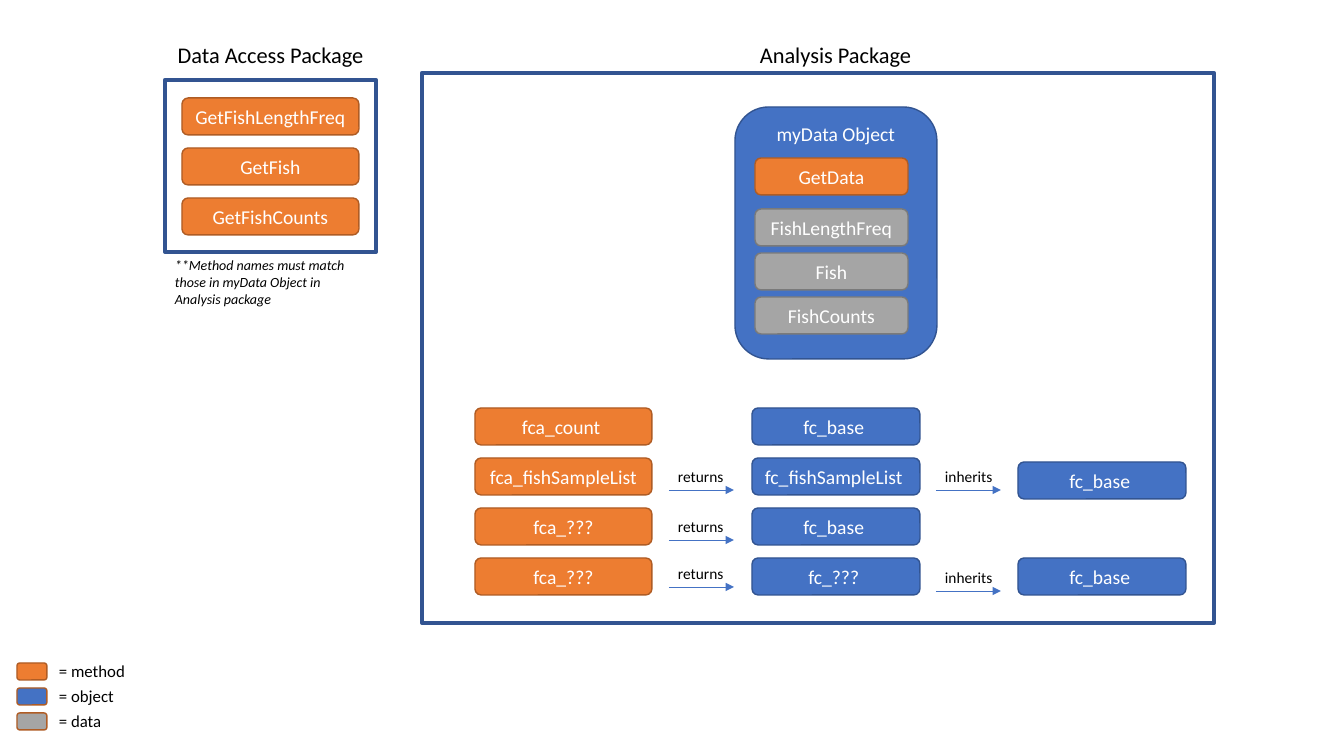
from pptx import Presentation
from pptx.dml.color import RGBColor
from pptx.enum.shapes import MSO_CONNECTOR, MSO_SHAPE
from pptx.enum.text import MSO_ANCHOR, MSO_AUTO_SIZE, PP_ALIGN
from pptx.oxml.ns import qn
from pptx.util import Pt
from lxml import etree

PX = 914400 / 100.8
COLORS = {
    "method": "ED7D31", "method_line": "AF5C24",
    "object": "4472C4", "object_line": "325491",
    "data": "A5A5A5", "data_line": "7A7A7A",
    "white": "FFFFFF", "black": "000000",
}
RGB = {name: RGBColor.from_string(value) for name, value in COLORS.items()}

prs = Presentation()
prs.slide_width, prs.slide_height = round(1344 * PX), round(756 * PX)
s = prs.slides.add_slide(prs.slide_layouts[6])


def add_box(text, x, y, w, h, kind, line=None, preset=MSO_SHAPE.ROUNDED_RECTANGLE):
    sp = s.shapes.add_shape(preset, *[round(v * PX) for v in (x, y, w, h)])
    sp.shadow.inherit = False
    if kind:
        sp.fill.solid()
        sp.fill.fore_color.rgb = RGB[kind]
    else:
        sp.fill.background()
    sp.line.color.rgb = RGB[line or kind + "_line"]
    sp.line.width = Pt(1 if kind else 3)
    if text:
        tf = sp.text_frame
        tf.text = text
        tf.vertical_anchor = MSO_ANCHOR.MIDDLE
        p = tf.paragraphs[0]
        p.alignment = PP_ALIGN.CENTER
        font = p.runs[0].font
        font.name, font.size, font.color.rgb = "Calibri", Pt(14), RGB["white"]
    return sp


def add_label(text, x, y, w, h, size, align=PP_ALIGN.LEFT, wrap=True, italic=False):
    tb = s.shapes.add_textbox(*[round(v * PX) for v in (x, y, w, h)])
    tf = tb.text_frame
    tf.text = text
    tf.word_wrap = wrap
    tf.auto_size = MSO_AUTO_SIZE.SHAPE_TO_FIT_TEXT
    p = tf.paragraphs[0]
    p.alignment = align
    font = p.runs[0].font
    font.name, font.size, font.color.rgb = "Calibri", Pt(size), RGB["black"]
    if italic:
        font.italic = True


BOX_H, ROW_STEP = 37, 50

for title, title_x, frame in [
    ("Data Access Package", 165, (165, 80, 211, 172)),
    ("Analysis Package", 730, (422, 73, 792, 550)),
]:
    add_box("", *frame, None, "object_line", MSO_SHAPE.RECTANGLE)
    add_label(title, title_x, 36, 211, 37, 16, PP_ALIGN.CENTER)

for i, name in enumerate(["GetFishLengthFreq", "GetFish", "GetFishCounts"]):
    add_box(name, 182, 98 + i * ROW_STEP, 177, BOX_H, "method")
add_label("**Method names must match those in myData Object in Analysis package",
          165, 252, 211, 61, 10, italic=True)

my_data = add_box("myData Object", 735, 107, 202, 252, "object")
my_data.text_frame.vertical_anchor = MSO_ANCHOR.TOP
add_box("GetData", 755, 158, 153, BOX_H, "method")
for i, name in enumerate(["FishLengthFreq", "Fish", "FishCounts"]):
    add_box(name, 755, 209 + i * 44, 153, BOX_H, "data")

for i, (method, result) in enumerate([
    ("fca_count ", "fc_base "),
    ("fca_fishSampleList", "fc_fishSampleList "),
    ("fca_???", "fc_base "),
    ("fca_???", "fc_??? "),
]):
    y = 408 + i * ROW_STEP
    add_box(method, 475, y, 177, BOX_H, "method")
    add_box(result, 752, y, 168, BOX_H, "object")
for y in (462, 558):
    add_box("fc_base ", 1018, y, 168, BOX_H, "object")

for text, x, w, arrow_rows in [
    ("returns", 669, 67, (490, 540, 587)),
    ("inherits", 936, 69, (490, 591)),
]:
    for y in arrow_rows:
        add_label(text, x - 1, y - 28, w, 29, 11, wrap=False)
        arrow = s.shapes.add_connector(
            MSO_CONNECTOR.STRAIGHT, *[round(v * PX) for v in (x, y, x + 65, y)])
        arrow.line.color.rgb = RGB["object"]
        arrow.line.width = Pt(0.5)
        etree.SubElement(arrow.line._get_or_add_ln(), qn("a:tailEnd"), type="triangle")
        etree.SubElement(arrow._element.spPr, qn("a:effectLst"))

for i, kind in enumerate(["method", "object", "data"]):
    y = 663 + i * 25
    add_box("", 17, y, 30, 17, kind, "method_line")
    add_label(f"= {kind}", 49, y - 7, 104, 30, 12)

prs.save("out.pptx")
